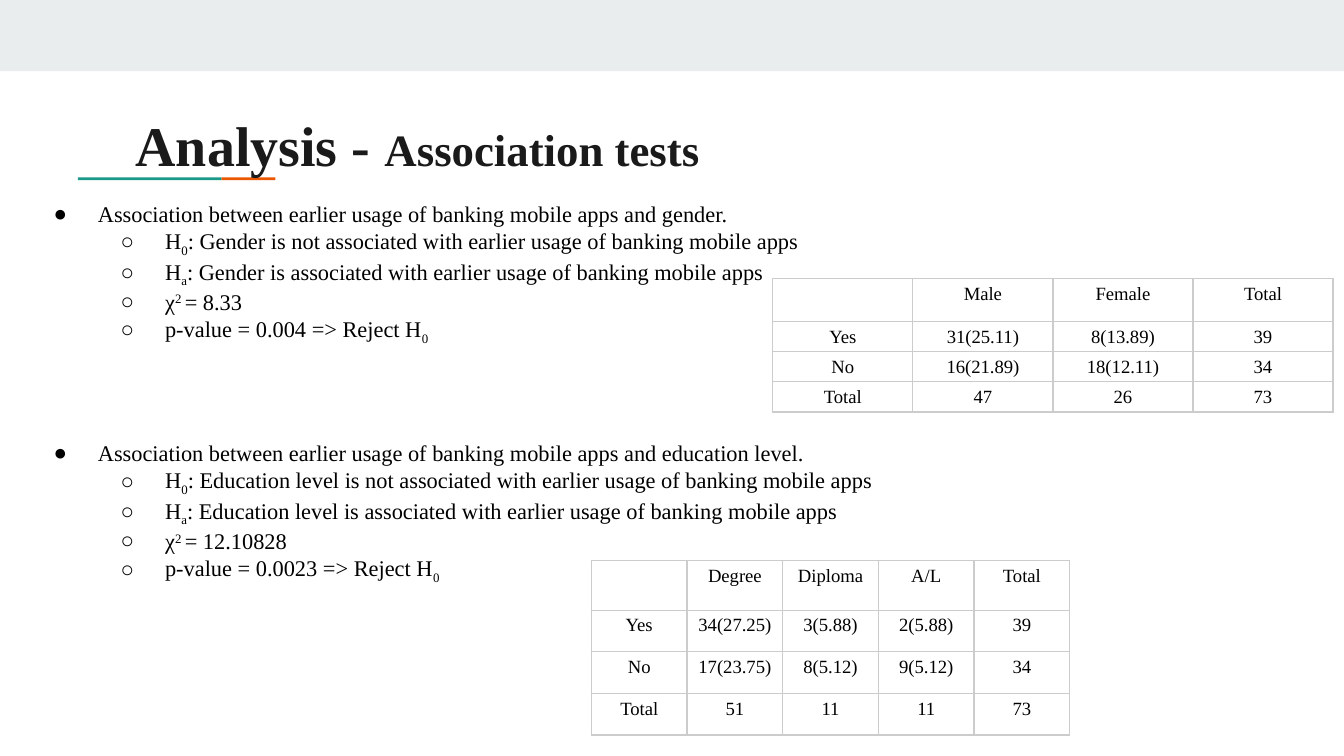
"""Build the slide on association tests between app usage, gender and education."""
from lxml import etree
from pptx import Presentation
from pptx import util as u
from pptx.dml.color import RGBColor
from pptx.enum import shapes, text
from pptx.oxml import ns

FONT = "Times New Roman"
COLORS = {"band": "E9EDEE", "teal": "1A9988", "orange": "EB5600",
          "title": "1A1A1A", "text": "000000", "border": "CCCCCC"}
BARS = [("band", 0, 0, 10, 0.53), ("teal", 0.58, 1.32, 1.07, 0.02),
        ("orange", 1.65, 1.32, 0.4, 0.02)]
TITLE = [("Analysis - ", 30), ("Association tests", 24)]
TESTS = [
    {"factor": "education level", "chi": "12.10828", "p": "0.0023", "top": 3.17,
     "table_at": (4.4, 4.17), "width": 3.56, "row_heights": [0.37, 0.31, 0.31, 0.31],
     "rows": [["", "Degree", "Diploma", "A/L", "Total"],
              ["Yes", "34(27.25)", "3(5.88)", "2(5.88)", "39"],
              ["No", "17(23.75)", "8(5.12)", "9(5.12)", "34"],
              ["Total", "51", "11", "11", "73"]]},
    {"factor": "gender", "chi": "8.33", "p": "0.004", "top": 1.39,
     "table_at": (5.75, 2.07), "width": 4.17, "row_heights": [0.32, 0.22, 0.22, 0.22],
     "rows": [["", "Male", "Female", "Total"],
              ["Yes", "31(25.11)", "8(13.89)", "39"],
              ["No", "16(21.89)", "18(12.11)", "34"],
              ["Total", "47", "26", "73"]]},
]
SUB, SUPER = -25, 30


def color(name):
    return RGBColor.from_string(COLORS[name])


def add_span(para, words, size, ink="text", bold=False, baseline=0):
    span = para.add_run()
    span.text = words
    span.font.name, span.font.size, span.font.bold = FONT, u.Pt(size), bold
    span.font.color.rgb = color(ink)
    if baseline:
        span._r.get_or_add_rPr().set("baseline", str(baseline * 1000))


def add_box(page, left, top, width, height):
    box = page.shapes.add_textbox(*map(u.Inches, (left, top, width, height)))
    frame = box.text_frame
    frame.word_wrap = True
    frame.margin_left = frame.margin_right = u.Inches(0.1)
    frame.margin_top = frame.margin_bottom = u.Inches(0.1)
    return frame


def add_bullet(para, mark, indent):
    props = para._p.get_or_add_pPr()
    props.set("marL", str(u.Inches(indent)))
    props.set("indent", str(u.Inches(-0.33)))
    ink = etree.SubElement(props, ns.qn("a:buClr"))
    etree.SubElement(ink, ns.qn("a:srgbClr"), val=COLORS["text"])
    etree.SubElement(props, ns.qn("a:buFont"), typeface=FONT)
    etree.SubElement(props, ns.qn("a:buChar"), char=mark)


def add_findings(page, test):
    factor = test["factor"]
    subject = factor.capitalize()
    usage = "associated with earlier usage of banking mobile apps"
    lines = [
        [(f"Association between earlier usage of banking mobile apps and {factor}.", 0)],
        [("H", 0), ("0", SUB), (f": {subject} is not {usage}", 0)],
        [("H", 0), ("a", SUB), (f": {subject} is {usage}", 0)],
        [("χ", 0), ("2 ", SUPER), (f"= {test['chi']}", 0)],
        [(f"p-value = {test['p']} => Reject H", 0), ("0", SUB)],
    ]
    frame = add_box(page, 0.13, test["top"], 9.58, 1.86)
    for number, line in enumerate(lines):
        para = frame.add_paragraph() if number else frame.paragraphs[0]
        if number:
            para.level = 1
            para.alignment = text.PP_ALIGN.JUSTIFY
            add_bullet(para, "○", 1)
        else:
            para.space_before = u.Pt(12)
            add_bullet(para, "●", 0.5)
        for words, baseline in line:
            add_span(para, words, 12, baseline=baseline)


def add_borders(cell):
    props = cell._tc.get_or_add_tcPr()
    for place, side in enumerate(("lnL", "lnR", "lnT", "lnB")):
        line = etree.Element(ns.qn(f"a:{side}"), w=str(u.Pt(0.75)))
        fill = etree.SubElement(line, ns.qn("a:solidFill"))
        etree.SubElement(fill, ns.qn("a:srgbClr"), val=COLORS["border"])
        props.insert(place, line)


def fill_cell(cell, words):
    cell.fill.background()
    cell.margin_left = cell.margin_right = u.Inches(0.03)
    cell.margin_top = cell.margin_bottom = u.Pt(1.2)
    add_borders(cell)
    para = cell.text_frame.paragraphs[0]
    if words:
        para.alignment = text.PP_ALIGN.CENTER
        para.line_spacing = 1.15
        add_span(para, words, 10)
    else:
        etree.SubElement(para._p, ns.qn("a:endParaRPr"), sz="1000")


def add_counts(page, test):
    rows, heights = test["rows"], test["row_heights"]
    size = (*test["table_at"], test["width"], sum(heights))
    table = page.shapes.add_table(len(rows), len(rows[0]), *map(u.Inches, size)).table
    table.first_row = table.horz_banding = False
    for r, (row, height) in enumerate(zip(rows, heights)):
        table.rows[r].height = u.Inches(height)
        for c, words in enumerate(row):
            fill_cell(table.cell(r, c), words)


def main():
    deck = Presentation()
    deck.slide_width = u.Inches(10)
    deck.slide_height = deck.slide_width * 9 // 16
    page = deck.slides.add_slide(deck.slide_layouts[6])
    for name, *place in BARS:
        bar = page.shapes.add_shape(shapes.MSO_SHAPE.RECTANGLE, *map(u.Inches, place))
        bar.shadow.inherit = False
        bar.fill.solid()
        bar.fill.fore_color.rgb = color(name)
        bar.line.fill.background()
    heading = add_box(page, 0.91, 0.72, 8.41, 0.59).paragraphs[0]
    for words, size in TITLE:
        add_span(heading, words, size, "title", bold=True)
    for test in TESTS:
        add_findings(page, test)
    for test in TESTS:
        add_counts(page, test)
    deck.save("out.pptx")


if __name__ == "__main__":
    main()
